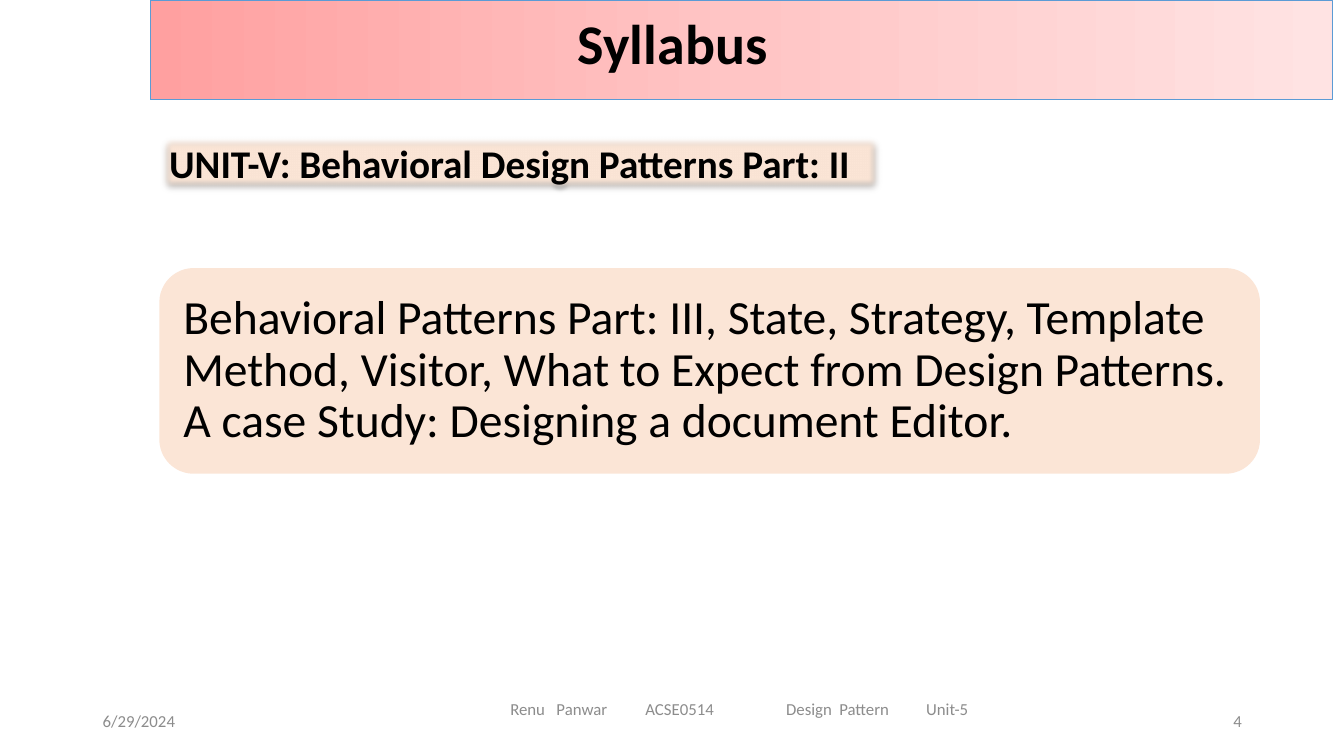
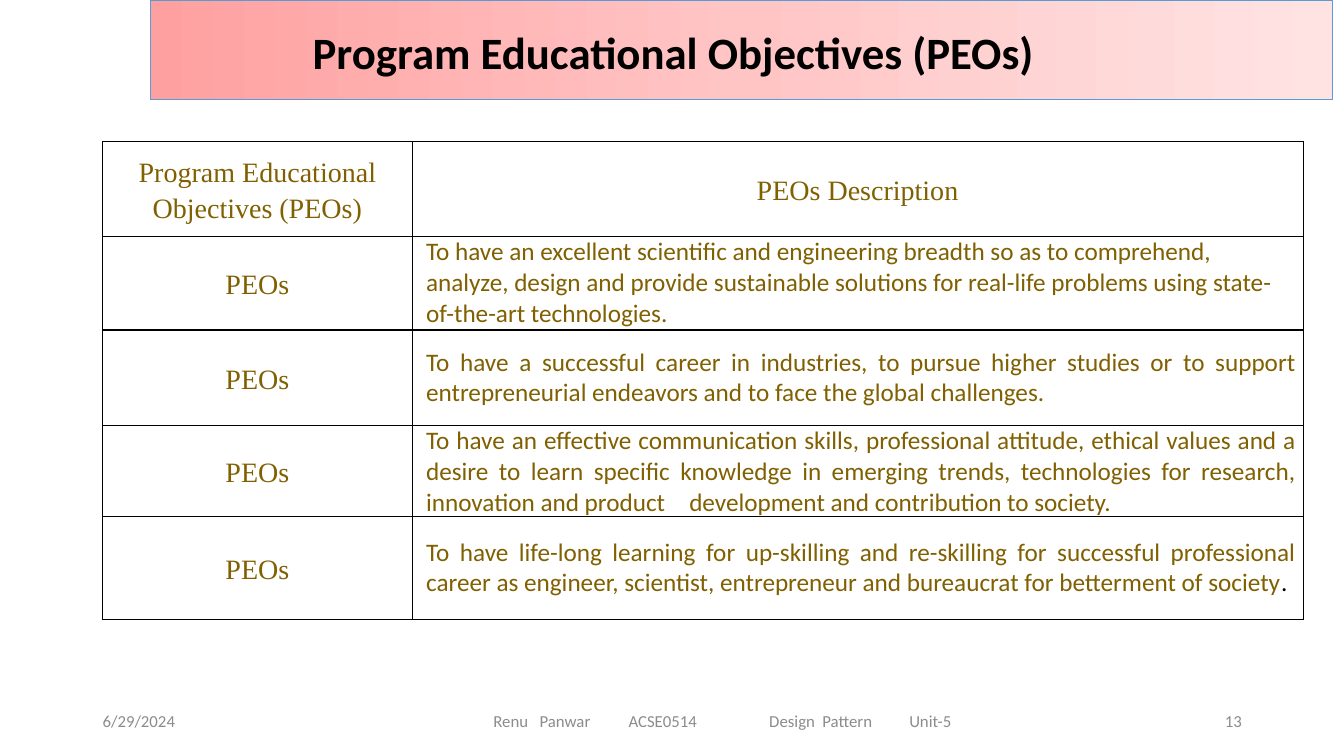
from copy import deepcopy

from lxml.etree import SubElement
from pptx import Presentation
from pptx.dml.color import RGBColor
from pptx.enum.shapes import MSO_SHAPE
from pptx.enum.text import MSO_ANCHOR, MSO_AUTO_SIZE, PP_ALIGN
from pptx.oxml.ns import qn
from pptx.util import Pt

COLORS = {
    "black": "000000",
    "white": "FFFFFF",
    "footer": "8C8C8C",
    "peach": "FBE5D6",
    "olive": "806000",
    "band_line": "5B9BD5",
}
BAND_STOPS = [(0, "FFA0A0"), (0.5, "FFC5C5"), (1, "FFE3E3")]
SANS = "Calibri"
SERIF = "Times New Roman"

FOOTER_TOP = 500.4
FOOTER_HEIGHT = 28.8
FOOTER_RIGHT = 714
FOOTER_TEXT_WIDTH = 327
FOOTER_PARTS = ["Renu", "Panwar", "ACSE0514", "Design", "Pattern", "Unit-5"]
FOOTER_TABS = [33, 96.5, 197, 235, 297]

PEO_HEADER = ["Program Educational Objectives (PEOs)", "PEOs Description"]
PEO_DESCRIPTIONS = [
    ["To have an excellent scientific and engineering breadth so as to comprehend, "
     "analyze, design and provide sustainable solutions for real-life problems using "
     "state-of-the-art technologies."],
    ["To have a successful career in industries, to pursue higher studies or to support "
     "entrepreneurial endeavors and to face the global challenges."],
    ["To have an effective communication skills, professional attitude, ethical values "
     "and a desire to learn specific knowledge in emerging trends, technologies for "
     "research, innovation and product\tdevelopment and contribution to society."],
    ["To have life-long learning for up-skilling and re-skilling for successful "
     "professional career as engineer, scientist, entrepreneur and bureaucrat for "
     "betterment of society", "."],
]
PEO_COLUMNS = [221, 636.5]
PEO_ROWS = [67.7, 67, 68.4, 64.1, 73.4]
PEO_TAB = 188


def rgb(name):
    return RGBColor.from_string(COLORS[name])


def add_run(paragraph, text, size, color="black", font=SANS, bold=False):
    run = paragraph.add_run()
    run.text = text
    run.font.size = Pt(size)
    run.font.name = font
    run.font.bold = bold
    run.font.color.rgb = rgb(color)


def add_tabs(paragraph, positions):
    tab_list = SubElement(paragraph._p.get_or_add_pPr(), qn("a:tabLst"))
    for position in positions:
        SubElement(tab_list, qn("a:tab"), pos=str(Pt(position)), algn="l")


def add_band(slide):
    band = slide.shapes.add_shape(MSO_SHAPE.RECTANGLE, Pt(107.3), Pt(0), Pt(844.6), Pt(71.3))
    band.shadow.inherit = False
    band.line.color.rgb = rgb("band_line")
    band.line.width = Pt(0.5)
    band.fill.gradient()
    band.fill.gradient_angle = 0
    stop_list = band.element.find(".//" + qn("a:gsLst"))
    stop_list.insert(1, deepcopy(stop_list[0]))
    for stop, (position, color) in zip(band.fill.gradient_stops, BAND_STOPS):
        stop.position = position
        stop.color.rgb = RGBColor.from_string(color)
    slide.slide_layout.shapes.element.insert(2, band.element)


def set_title(slide, text, size, left, top, width, height):
    title = slide.shapes.title
    title.left, title.top, title.width, title.height = map(Pt, (left, top, width, height))
    frame = title.text_frame
    frame.auto_size = MSO_AUTO_SIZE.NONE
    frame.vertical_anchor = MSO_ANCHOR.TOP
    paragraph = frame.paragraphs[0]
    paragraph.alignment = PP_ALIGN.CENTER
    add_run(paragraph, text, size, bold=True)


def add_footer_box(slide, left, width, text, top=FOOTER_TOP, alignment=PP_ALIGN.LEFT, tabs=()):
    box = slide.shapes.add_textbox(Pt(left), Pt(top), Pt(width), Pt(FOOTER_HEIGHT))
    frame = box.text_frame
    frame.word_wrap = True
    frame.vertical_anchor = MSO_ANCHOR.MIDDLE
    paragraph = frame.paragraphs[0]
    paragraph.alignment = alignment
    if tabs:
        frame.margin_left = Pt((width - FOOTER_TEXT_WIDTH) / 2)
        frame.margin_right = Pt(0)
        add_tabs(paragraph, tabs)
    add_run(paragraph, text, 12, "footer")


def add_footers(slide, number, course_left, course_top=FOOTER_TOP):
    add_footer_box(slide, 66.2, 216, "6/29/2024")
    add_footer_box(slide, course_left, FOOTER_RIGHT - course_left, "\t".join(FOOTER_PARTS),
                   course_top, tabs=FOOTER_TABS)
    add_footer_box(slide, 678.2, 216, str(number), alignment=PP_ALIGN.RIGHT)


def add_panel(slide, preset, left, top, width, height, text, size, bold=False):
    panel = slide.shapes.add_shape(preset, Pt(left), Pt(top), Pt(width), Pt(height))
    panel.shadow.inherit = False
    panel.fill.solid()
    panel.fill.fore_color.rgb = rgb("peach")
    panel.line.fill.background()
    panel.text_frame.word_wrap = True
    paragraph = panel.text_frame.paragraphs[0]
    paragraph.alignment = PP_ALIGN.LEFT
    add_run(paragraph, text, size, bold=bold)
    return panel


def add_soft_shadow(shape):
    effects = shape.element.spPr.find(qn("a:effectLst"))
    shadow = SubElement(effects, qn("a:outerShdw"), blurRad=str(Pt(3.1)), dist=str(Pt(1.8)),
                        dir="5400000", rotWithShape="0")
    color = SubElement(shadow, qn("a:srgbClr"), val=COLORS["black"])
    SubElement(color, qn("a:alpha"), val="35000")
    SubElement(effects, qn("a:softEdge"), rad=str(Pt(5)))


def format_cell(cell):
    cell.margin_left = cell.margin_right = Pt(5)
    cell.margin_top = cell.margin_bottom = Pt(0)
    cell.vertical_anchor = MSO_ANCHOR.MIDDLE
    properties = cell._tc.get_or_add_tcPr()
    for side in ("lnL", "lnR", "lnT", "lnB"):
        border = SubElement(properties, qn("a:" + side), w=str(Pt(1)))
        fill = SubElement(border, qn("a:solidFill"))
        SubElement(fill, qn("a:srgbClr"), val=COLORS["black"])
    cell.fill.solid()
    cell.fill.fore_color.rgb = rgb("white")


def fill_label(cell, text):
    format_cell(cell)
    paragraph = cell.text_frame.paragraphs[0]
    paragraph.alignment = PP_ALIGN.CENTER
    paragraph.line_spacing = 1.15
    add_run(paragraph, text, 20, "olive", SERIF)


def fill_description(cell, texts, alignment):
    format_cell(cell)
    paragraph = cell.text_frame.paragraphs[0]
    paragraph.alignment = alignment
    paragraph._p.get_or_add_pPr().set("marL", str(Pt(5)))
    add_tabs(paragraph, [PEO_TAB])
    for text, color in zip(texts, ("olive", "black")):
        add_run(paragraph, text, 18, color)


def add_objectives_table(slide):
    table = slide.shapes.add_table(
        len(PEO_ROWS), len(PEO_COLUMNS), Pt(73.4), Pt(101),
        Pt(sum(PEO_COLUMNS)), Pt(sum(PEO_ROWS))).table
    table.first_row = table.horz_banding = False
    for column, width in zip(table.columns, PEO_COLUMNS):
        column.width = Pt(width)
    for row, height in zip(table.rows, PEO_ROWS):
        row.height = Pt(height)
    for index, text in enumerate(PEO_HEADER):
        fill_label(table.cell(0, index), text)
    for index, texts in enumerate(PEO_DESCRIPTIONS, 1):
        fill_label(table.cell(index, 0), "PEOs")
        alignment = PP_ALIGN.LEFT if index == 1 else PP_ALIGN.JUSTIFY
        fill_description(table.cell(index, 1), texts, alignment)


def build_syllabus(slide):
    set_title(slide, "Syllabus", 40, 240.5, 2.2, 480, 55.4)
    add_footers(slide, 4, 342, 491.8)
    heading = add_panel(slide, MSO_SHAPE.RECTANGLE, 113.8, 95.8, 516.2, 41,
                        "UNIT-V: Behavioral Design Patterns Part: II", 28, bold=True)
    add_soft_shadow(heading)
    topics = add_panel(
        slide, MSO_SHAPE.ROUNDED_RECTANGLE, 113.8, 191.5, 786.2, 146.9,
        "Behavioral Patterns Part: III, State, Strategy, Template Method, Visitor, What to "
        "Expect from Design Patterns. A case Study: Designing a document Editor.", 34)
    topics.text_frame.margin_left = topics.text_frame.margin_right = Pt(10)
    topics.text_frame.paragraphs[0].line_spacing = 0.9


def build_objectives(slide):
    set_title(slide, "Program Educational Objectives (PEOs)", 32, 164.2, 13.7, 633.6, 46)
    add_footers(slide, 13, 318)
    add_objectives_table(slide)


def main():
    presentation = Presentation()
    presentation.slide_width = Pt(960)
    presentation.slide_height = Pt(540)
    layout = presentation.slide_layouts.get_by_name("Title Only")
    syllabus = presentation.slides.add_slide(layout)
    add_band(syllabus)
    build_syllabus(syllabus)
    build_objectives(presentation.slides.add_slide(layout))
    presentation.save("out.pptx")


if __name__ == "__main__":
    main()
